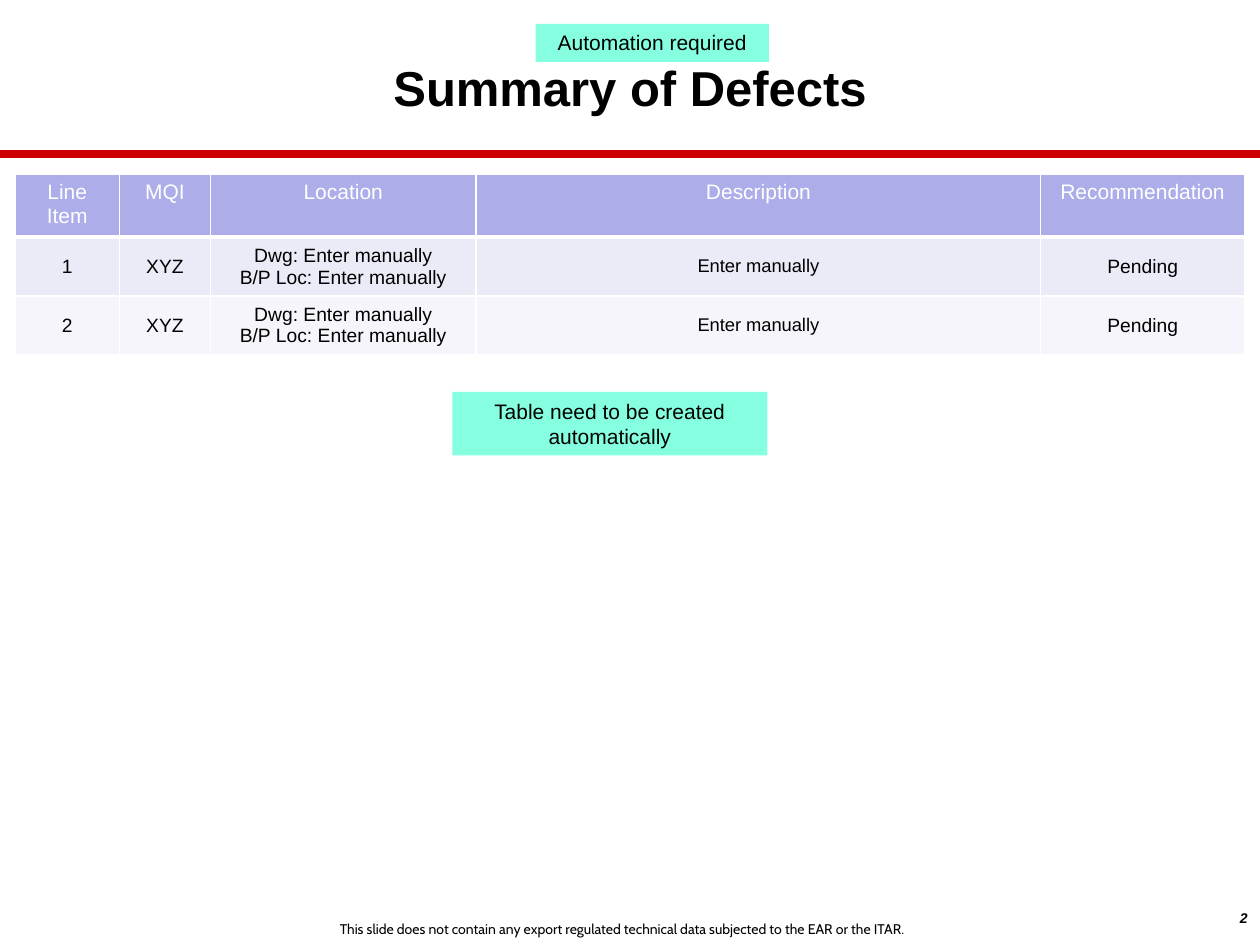
from lxml import etree
from pptx import Presentation
from pptx.dml.color import RGBColor
from pptx.enum.shapes import MSO_CONNECTOR, MSO_SHAPE
from pptx.enum.text import MSO_ANCHOR, PP_ALIGN
from pptx.oxml.ns import qn
from pptx.util import Cm, Pt

LEFT, CENTER, RIGHT = PP_ALIGN.LEFT, PP_ALIGN.CENTER, PP_ALIGN.RIGHT
TOP, MIDDLE = MSO_ANCHOR.TOP, MSO_ANCHOR.MIDDLE
STRAIGHT = MSO_CONNECTOR.STRAIGHT
RECTANGLE = MSO_SHAPE.RECTANGLE
TITLE_ONLY = 5

COLORS = {
    "ink": "000000",
    "paper": "FFFFFF",
    "rule": "CC0000",
    "callout": "85FFE0",
    "header": "3333CC",
    "odd": "CECEEC",
    "even": "E8E8F6",
}
HEADINGS = ["Line Item", "MQI", "Location", "Description", "Recommendation"]
LOCATION = "Dwg: Enter manually\vB/P Loc: Enter manually"
DEFECTS = [[number, "XYZ", LOCATION, "Enter manually", "Pending"] for number in ("1", "2")]
COLUMN_WIDTHS = [2.11, 1.83, 5.36, 11.38, 4.11]
ROW_HEIGHTS = [1.25, 1.18, 1.18]
DEFECT_SIZES = [11, 11, 11, 10.5, 11]


def rgb(name):
    return RGBColor.from_string(COLORS[name])


class DefectSlide:
    def __init__(self, presentation):
        self.slide = presentation.slides.add_slide(presentation.slide_layouts[TITLE_ONLY])
        self.shapes = self.slide.shapes

    def set_text(self, frame, text, size, align=LEFT, color="ink", font="Arial",
                 bold=False, italic=False):
        frame.text = text
        frame.word_wrap = True
        paragraph = frame.paragraphs[0]
        paragraph.alignment = align
        style = paragraph.font
        style.name = font
        style.size = Pt(size)
        style.bold = bold
        style.italic = italic
        style.color.rgb = rgb(color)

    def title(self, text, left, top, width, height):
        heading = self.shapes.title
        heading.left, heading.top = Cm(left), Cm(top)
        heading.width, heading.height = Cm(width), Cm(height)
        heading.text_frame.vertical_anchor = MIDDLE
        self.set_text(heading.text_frame, text, 28, CENTER, bold=True)

    def rule(self, left, right, y):
        rule = self.shapes.add_connector(STRAIGHT, Cm(left), Cm(y), Cm(right), Cm(y))
        rule.line.color.rgb = rgb("rule")
        rule.line.width = Pt(4.5)
        etree.SubElement(rule._element.spPr, qn("a:effectLst"))

    def label(self, text, left, top, width, height, **style):
        label = self.shapes.add_textbox(Cm(left), Cm(top), Cm(width), Cm(height))
        self.set_text(label.text_frame, text, 8, **style)

    def callout(self, text, left, top, width, height):
        callout = self.shapes.add_shape(RECTANGLE, Cm(left), Cm(top), Cm(width), Cm(height))
        callout.shadow.inherit = False
        callout.fill.solid()
        callout.fill.fore_color.rgb = rgb("callout")
        callout.line.fill.background()
        callout.text_frame.vertical_anchor = TOP
        self.set_text(callout.text_frame, text, 12, CENTER)

    def paint_cell(self, cell, color, bottom_width):
        properties = cell._tc.get_or_add_tcPr()
        for side, width in (("lnL", 1), ("lnR", 1), ("lnT", 1), ("lnB", bottom_width)):
            border = etree.SubElement(properties, qn(f"a:{side}"), w=str(Pt(width)))
            paint = etree.SubElement(border, qn("a:solidFill"))
            etree.SubElement(paint, qn("a:srgbClr"), val=COLORS["paper"])
        cell.fill.solid()
        cell.fill.fore_color.rgb = rgb(color)
        tint = properties.find(f"{qn('a:solidFill')}/{qn('a:srgbClr')}")
        etree.SubElement(tint, qn("a:alpha"), val="40000")

    def table(self, rows, left, top):
        table = self.shapes.add_table(
            len(rows), len(COLUMN_WIDTHS), Cm(left), Cm(top),
            Cm(sum(COLUMN_WIDTHS)), Cm(sum(ROW_HEIGHTS))).table
        for column, width in zip(table.columns, COLUMN_WIDTHS):
            column.width = Cm(width)
        for row, height in zip(table.rows, ROW_HEIGHTS):
            row.height = Cm(height)
        for r, values in enumerate(rows):
            is_header = r == 0
            fill = "header" if is_header else ("odd" if r % 2 else "even")
            for c, value in enumerate(values):
                cell = table.cell(r, c)
                size = 12 if is_header else DEFECT_SIZES[c]
                self.set_text(cell.text_frame, value, size, CENTER,
                              "paper" if is_header else "ink")
                cell.vertical_anchor = TOP if is_header else MIDDLE
                self.paint_cell(cell, fill, 3 if is_header else 1)


def main():
    presentation = Presentation()
    presentation.slide_width, presentation.slide_height = Cm(25.4), Cm(19.05)
    page = DefectSlide(presentation)
    page.rule(0, 25.4, 3.1)
    page.label("This slide does not contain any export regulated technical data "
               "subjected to the EAR or the ITAR.", 6.6, 18.44, 12.68, 0.61, font="Cabin")
    page.label("2", 22.23, 18.21, 3.17, 0.84, align=RIGHT, bold=True, italic=True)
    page.title("Summary of Defects", 4.98, 0.48, 15.44, 2.54)
    page.table([HEADINGS] + DEFECTS, 0.3, 3.51)
    page.callout("Automation required", 10.8, 0.48, 4.7, 0.77)
    page.callout("Table need to be created automatically", 9.12, 7.9, 6.35, 1.28)
    presentation.save("out.pptx")


if __name__ == "__main__":
    main()
